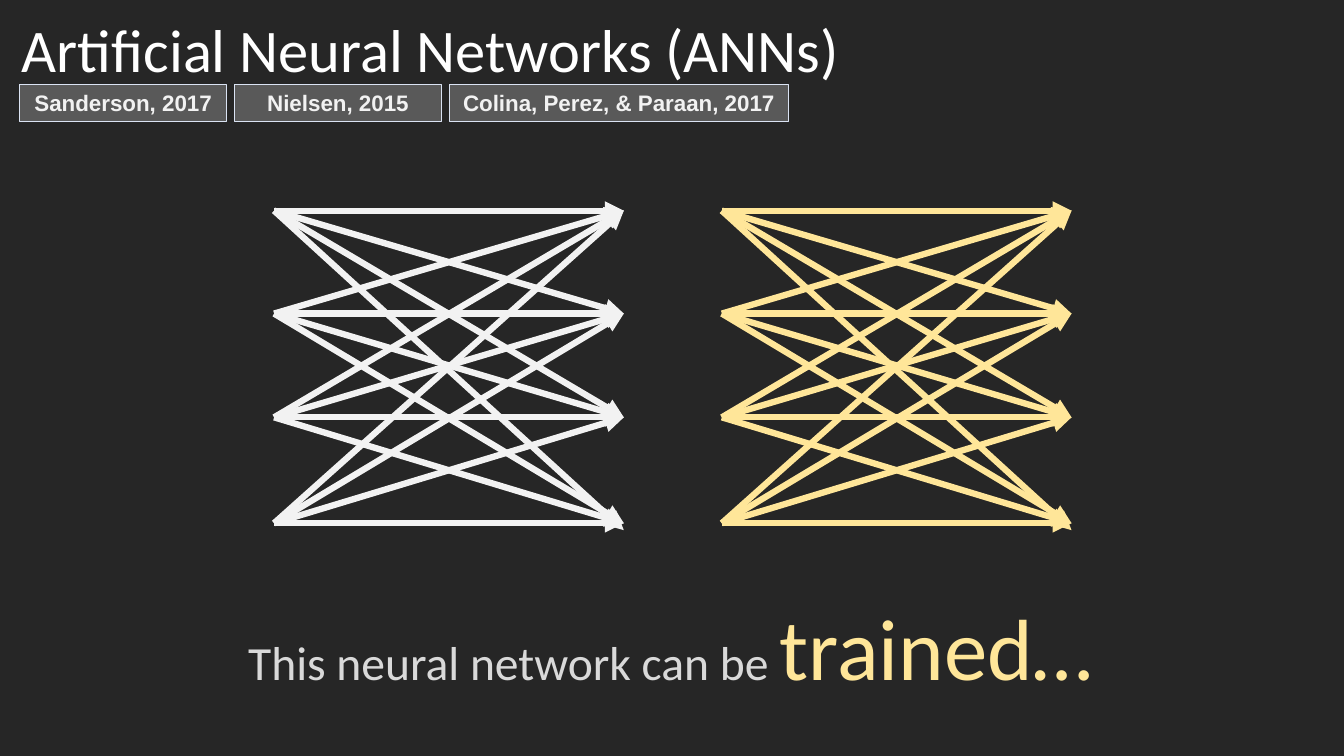
from dataclasses import dataclass
from itertools import product

from lxml import etree
from pptx import Presentation
from pptx.dml.color import RGBColor
from pptx.enum import shapes, text
from pptx.oxml.ns import qn
from pptx.util import Pt


@dataclass(frozen=True)
class Theme:
    background: str = "262626"
    white: str = "FFFFFF"
    pale: str = "F2F2F2"
    muted: str = "D9D9D9"
    accent: str = "FFE699"
    tag_fill: str = "595959"
    tag_line: str = "DAE3F3"
    body_font: str = "Calibri"
    tag_font: str = "Arial"
    title_size: float = 43.2
    tag_size: float = 16
    caption_size: float = 34
    emphasis_size: float = 62
    arrow_width: float = 4.5
    tag_line_width: float = 0.75


@dataclass(frozen=True)
class Run:
    words: str
    size: float
    color: str
    font: str
    bold: bool = False


@dataclass(frozen=True)
class Box:
    left: float
    top: float
    width: float
    height: float


@dataclass(frozen=True)
class Citation:
    words: str
    left: float
    width: float


@dataclass(frozen=True)
class Layer:
    left: float
    color: str


THEME = Theme()
CITATIONS = (
    Citation("Sanderson, 2017", 14.2, 147.6),
    Citation("Nielsen, 2015", 167.6, 147.6),
    Citation("Colina, Perez, & Paraan, 2017", 321.1, 242),
)
TAG_TOP, TAG_HEIGHT = 60.4, 26.6
LAYERS = (Layer(195.8, THEME.pale), Layer(515.6, THEME.accent))
LAYER_WIDTH = 249.8
NODE_ROWS = (150.5, 224, 298.1, 373.7)
LONGEST_ARROW_END = 378.7


def rgb(color: str) -> RGBColor:
    return RGBColor.from_string(color)


def write(tf, runs: tuple[Run, ...], align, anchor, spacing: float = 1.0) -> None:
    tf.word_wrap = True
    tf.vertical_anchor = anchor
    p = tf.paragraphs[0]
    p.alignment = align
    p.line_spacing = spacing
    for item in runs:
        r = p.add_run()
        r.text = item.words
        r.font.size = Pt(item.size)
        r.font.name = item.font
        r.font.bold = item.bold
        r.font.color.rgb = rgb(item.color)


def add_text(s, box: Box, runs: tuple[Run, ...], align, anchor) -> None:
    sp = s.shapes.add_textbox(Pt(box.left), Pt(box.top), Pt(box.width), Pt(box.height))
    write(sp.text_frame, runs, align, anchor, 0.9)


def add_citation(s, citation: Citation) -> None:
    sp = s.shapes.add_shape(
        shapes.MSO_SHAPE.RECTANGLE,
        Pt(citation.left), Pt(TAG_TOP), Pt(citation.width), Pt(TAG_HEIGHT),
    )
    sp.shadow.inherit = False
    sp.fill.solid()
    sp.fill.fore_color.rgb = rgb(THEME.tag_fill)
    sp.line.color.rgb = rgb(THEME.tag_line)
    sp.line.width = Pt(THEME.tag_line_width)
    run = Run(citation.words, THEME.tag_size, THEME.pale, THEME.tag_font, True)
    write(sp.text_frame, (run,), text.PP_ALIGN.CENTER, text.MSO_ANCHOR.TOP)


def add_arrow(s, layer: Layer, start: float, end: float) -> None:
    sp = s.shapes.add_connector(
        shapes.MSO_CONNECTOR.STRAIGHT,
        Pt(layer.left), Pt(start), Pt(layer.left + LAYER_WIDTH), Pt(end),
    )
    sp.line.color.rgb = rgb(layer.color)
    sp.line.width = Pt(THEME.arrow_width)
    properties = sp.element.spPr
    etree.SubElement(properties.find(qn("a:ln")), qn("a:tailEnd"), type="triangle")
    etree.SubElement(properties, qn("a:effectLst"))


def add_layer(s, layer: Layer) -> None:
    for start, end in product(NODE_ROWS, repeat=2):
        longest = (start, end) == (NODE_ROWS[0], NODE_ROWS[-1])
        add_arrow(s, layer, start, LONGEST_ARROW_END if longest else end)


def main() -> None:
    """Build the slide on trainable neural networks."""
    prs = Presentation()
    prs.slide_width, prs.slide_height = Pt(960), Pt(540)
    s = prs.slides.add_slide(prs.slide_layouts[6])
    s.background.fill.solid()
    s.background.fill.fore_color.rgb = rgb(THEME.background)

    title = Run("Artificial Neural Networks (ANNs)", THEME.title_size, THEME.white, THEME.body_font)
    add_text(s, Box(8.6, 7.2, 877, 57.6), (title,), text.PP_ALIGN.LEFT, text.MSO_ANCHOR.BOTTOM)
    for citation in CITATIONS:
        add_citation(s, citation)
    caption = (
        Run("This neural network can be ", THEME.caption_size, THEME.muted, THEME.body_font),
        Run("trained…", THEME.emphasis_size, THEME.accent, THEME.body_font),
    )
    add_text(s, Box(127.4, 429.1, 703.4, 82.8), caption, text.PP_ALIGN.CENTER, text.MSO_ANCHOR.TOP)
    for layer in LAYERS:
        add_layer(s, layer)
    prs.save("out.pptx")


if __name__ == "__main__":
    main()
